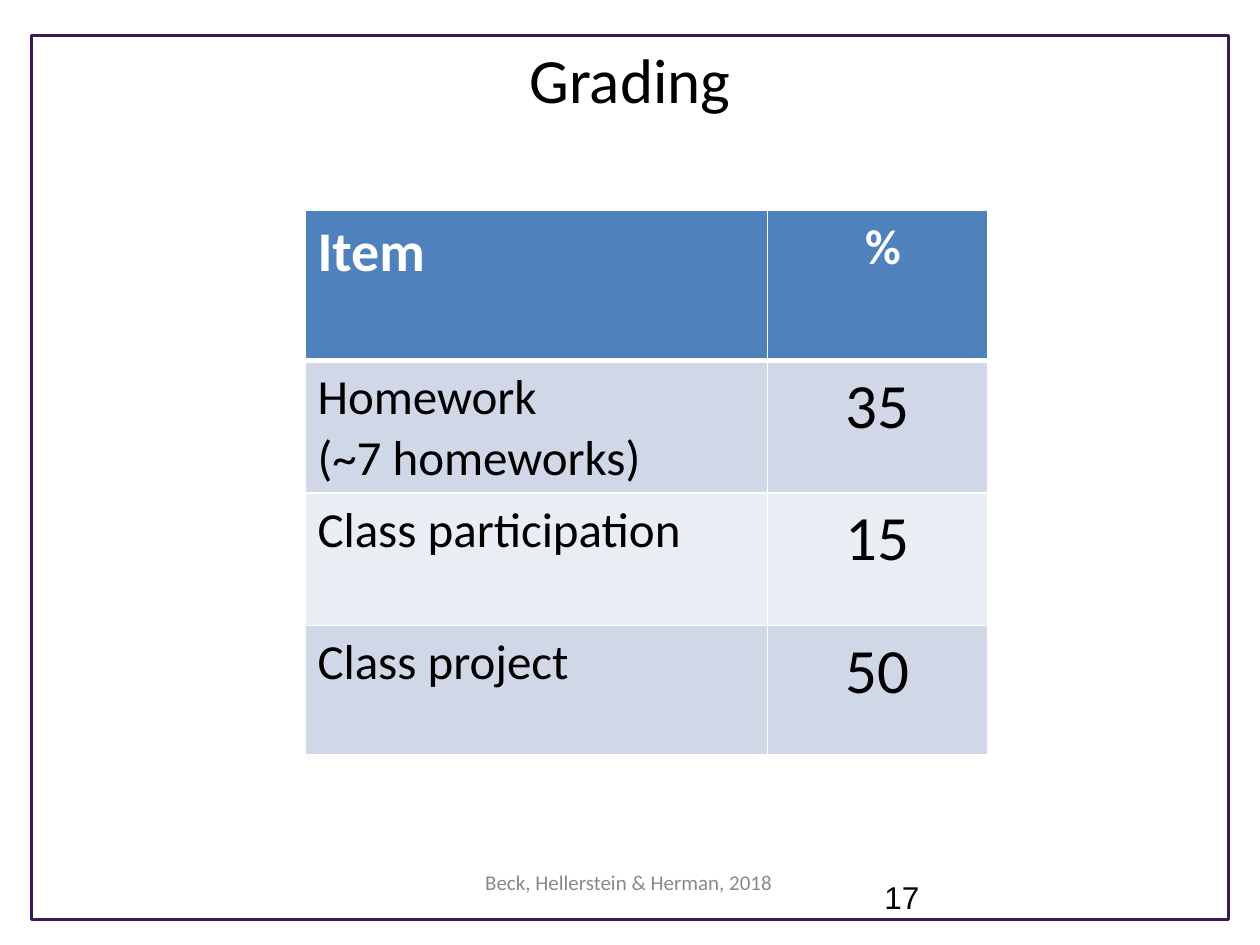
import pptx
import pptx.util
import pptx.dml.color
import pptx.enum.shapes
import pptx.enum.text
import pptx.oxml
import pptx.oxml.ns

Inches, Pt = pptx.util.Inches, pptx.util.Pt
Color = pptx.dml.color.RGBColor.from_string
Align = pptx.enum.text.PP_ALIGN

theme = {
    "font": "Calibri", "ink": "000000", "white": "FFFFFF", "gray": "898989",
    "frame": "3B185A", "head": "4F81BD", "bands": ["D0D8E8", "E9EDF4"],
    "big": 36, "top": 32, "body": 28, "page": 18, "foot": 12,
}


def write(frame, text, size, color="ink", font=theme["font"], bold=False,
          align=Align.LEFT, space=None):
    frame.word_wrap = True
    for i, line in enumerate(text.split("\n")):
        para = frame.add_paragraph() if i else frame.paragraphs[0]
        para.alignment = align
        if space:
            para.line_spacing = space
        run = para.add_run()
        run.text = line
        run.font.size = Pt(theme[size])
        run.font.name = font
        run.font.bold = bold
        run.font.color.rgb = Color(theme[color])


def border(cell, side, width):
    xml = (f'<a:{side} {pptx.oxml.ns.nsdecls("a")} w="{Pt(width)}"><a:solidFill>'
           f'<a:srgbClr val="{theme["white"]}"/></a:solidFill></a:{side}>')
    props = cell._tc.get_or_add_tcPr()
    props.append(pptx.oxml.parse_xml(xml))


deck = pptx.Presentation()
deck.slide_width, deck.slide_height = Inches(10), Inches(7.5)
slide = deck.slides.add_slide(deck.slide_layouts[6])
shapes = slide.shapes

# Frame
frame = shapes.add_shape(pptx.enum.shapes.MSO_SHAPE.RECTANGLE,
                         Inches(0.25), Inches(0.28), Inches(9.5), Inches(7.02))
frame.shadow.inherit = False
frame.fill.background()
frame.line.color.rgb = Color(theme["frame"])
frame.line.width = Pt(1.76)

# Title, page number and footer
labels = [
    ("Grading", (0.5, 0.27, 9, 0.92), dict(size="big", align=Align.CENTER)),
    ("17", (6.92, 6.92, 1.92, 0.4), dict(size="page", font="Arial")),
    ("Beck, Hellerstein & Herman, 2018", (3.41, 6.85, 3.16, 0.4),
     dict(size="foot", color="gray", align=Align.CENTER)),
]
for text, place, style in labels:
    box = shapes.add_textbox(*[Inches(n) for n in place])
    write(box.text_frame, text, **style)

# Grading table
rows = [("Item", " %"), ("Homework\n(~7 homeworks)", "35"),
        ("Class participation", "15"), ("Class project", "50")]
wide, high = [3.67, 1.75], [1.19, 1.05, 1.05, 1.03]
table = shapes.add_table(len(rows), len(wide), Inches(2.42), Inches(1.67),
                         Inches(sum(wide)), Inches(sum(high))).table
for col, width in zip(table.columns, wide):
    col.width = Inches(width)
for row, height in zip(table.rows, high):
    row.height = Inches(height)

for r, row in enumerate(rows):
    head = r == 0
    sizes = ("top", "body") if head else ("body", "big")
    fill = theme["head"] if head else theme["bands"][(r - 1) % 2]
    for c, text in enumerate(row):
        cell = table.cell(r, c)
        write(cell.text_frame, text, sizes[c], color="white" if head else "ink",
              bold=head, align=Align.CENTER if c else Align.LEFT, space=1.02)
        # Borders come before the fill in the cell properties
        for side in ("lnL", "lnR", "lnT", "lnB"):
            thick = (r, side) in [(0, "lnB"), (1, "lnT")]
            border(cell, side, 2.95 if thick else 0.91)
        cell.fill.solid()
        cell.fill.fore_color.rgb = Color(fill)

deck.save("out.pptx")
